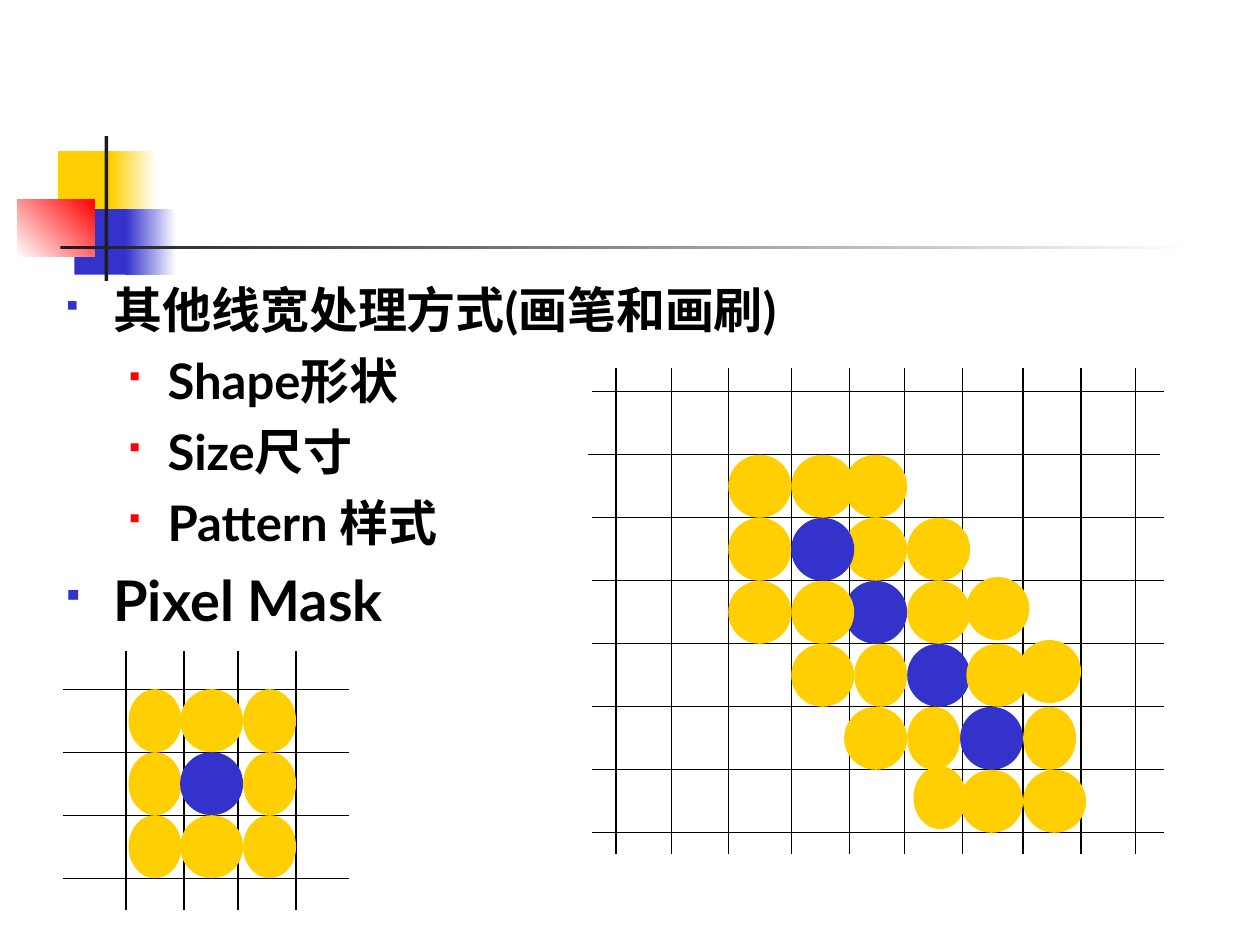
import pptx
import pptx.dml.color
import pptx.enum.lang
import pptx.enum.shapes
import pptx.enum.text
import pptx.oxml
import pptx.oxml.ns
import pptx.util
from pptx.util import Inches

COLORS = {
    "yellow": "FFCF01",
    "blue": "3333CC",
    "red": "FF0000",
    "dark": "1C1C1C",
    "black": "000000",
    "white": "FFFFFF",
}
SHAPES = pptx.enum.shapes.MSO_SHAPE
CELL = 0.5

LEVELS = [
    {"margin": 0.38, "indent": -0.38, "color": "blue", "percent": 60},
    {"margin": 0.81, "indent": -0.31, "color": "red", "percent": 55},
]
# text, level, size, space before
BODY = [
    ("其他线宽处理方式(画笔和画刷)", 0, 28, 0),
    ("Shape形状", 1, 28, 7),
    ("Size尺寸", 1, 28, 7),
    ("Pattern 样式", 1, 28, 7),
    ("Pixel Mask", 0, 32, 8),
]

# left, top, width, height, colours (two make a gradient), angle
MOTIF = [
    (0.32, 0.12, 0.48, 0.52, ["yellow"], 0),
    (0.74, 0.12, 0.36, 0.52, ["yellow", "white"], 0),
    (0.45, 0.58, 0.46, 0.52, ["blue"], 0),
    (0.86, 0.58, 0.4, 0.52, ["blue", "white"], 0),
    (0, 0.5, 0.61, 0.46, ["white", "red"], 45),
    (0.69, 0, 0.03, 1.15, ["dark"], 0),
    (0.34, 0.87, 9, 0.03, ["dark", "white"], 0),
]

MASK_COLUMNS = [0.5, 0.96, 1.39, 1.85]
# left, row, width, colour
MASK_PIXELS = [
    (left, row, width, "blue" if (row, column) == (1, 1) else "yellow")
    for row in range(3)
    for column, (left, width) in enumerate([(0.52, 0.42), (0.93, 0.5), (1.43, 0.42)])
]

STROKE_COLUMNS = [0.19, 0.63, 1.08, 1.58, 2.04, 2.48, 2.94, 3.42, 3.88, 4.31]
# In stacking order, since neighbouring pixels overlap
STROKE_PIXELS = [
    (1.58, 1, 0.5, "yellow"),
    (2, 2, 0.5, "yellow"),
    (2, 3, 0.5, "blue"),
    (2.5, 4, 0.5, "blue"),
    (2.92, 5, 0.5, "blue"),
    (3.42, 6, 0.5, "yellow"),
    (1.58, 3, 0.5, "yellow"),
    (2.97, 4, 0.5, "yellow"),
    (1.58, 4, 0.5, "yellow"),
    (2.08, 4, 0.42, "yellow"),
    (2, 5, 0.5, "yellow"),
    (3.42, 5, 0.42, "yellow"),
    (2.5, 5, 0.42, "yellow"),
    (2.97, 2.94, 0.5, "yellow"),
    (2.92, 6, 0.5, "yellow"),
    (3.38, 3.94, 0.5, "yellow"),
    (1.08, 3, 0.5, "yellow"),
    (2.5, 3, 0.5, "yellow"),
    (1.08, 2, 0.5, "yellow"),
    (1.58, 2, 0.5, "blue"),
    (2.5, 2, 0.5, "yellow"),
    (1.08, 1, 0.5, "yellow"),
    (2, 1, 0.5, "yellow"),
    (2.55, 5.94, 0.42, "yellow"),
]


def rgb(name):
    return pptx.dml.color.RGBColor.from_string(COLORS[name])


def set_values(target, values):
    for name, value in values.items():
        setattr(target, name, value)


def add_filled_shape(shapes, kind, box, colors, angle=0):
    """One colour gives a solid fill, two give a linear gradient."""
    shape = shapes.add_shape(kind, *map(Inches, box))
    shape.shadow.inherit = False
    shape.line.fill.background()
    if len(colors) == 1:
        shape.fill.solid()
        shape.fill.fore_color.rgb = rgb(colors[0])
    else:
        shape.fill.gradient()
        shape.fill.gradient_angle = angle
        for stop, color in zip(shape.fill.gradient_stops, colors):
            stop.color.rgb = rgb(color)


def add_line(shapes, start, end):
    line = shapes.add_connector(
        pptx.enum.shapes.MSO_CONNECTOR.STRAIGHT, *map(Inches, (*start, *end))
    )
    line.line.color.rgb = rgb("black")
    line.line.width = pptx.util.Pt(0.75)
    properties = line._element.spPr
    properties.append(pptx.oxml.parse_xml(
        f"<a:effectLst {pptx.oxml.ns.nsdecls('a')}/>"))


def add_bullet(paragraph, level):
    properties = paragraph._p.get_or_add_pPr()
    properties.set("marL", str(Inches(level["margin"])))
    properties.set("indent", str(Inches(level["indent"])))
    namespace = pptx.oxml.ns.nsdecls("a")
    for xml in (
        f'<a:buClr {namespace}><a:srgbClr val="{COLORS[level["color"]]}"/></a:buClr>',
        f'<a:buSzPct {namespace} val="{level["percent"] * 1000}"/>',
        f'<a:buFont {namespace} typeface="Wingdings"/>',
        f'<a:buChar {namespace} char="§"/>',
    ):
        properties.append(pptx.oxml.parse_xml(xml))


def add_motif(slide, left, top):
    """Corner ornament of coloured blocks with its fading rule."""
    for x, y, width, height, colors, angle in MOTIF:
        box = (left + x, top + y, width, height)
        add_filled_shape(slide.shapes, SHAPES.RECTANGLE, box, colors, angle)


def fill_body(placeholder, left, top, width, height):
    set_values(placeholder, {
        "left": Inches(left), "top": Inches(top),
        "width": Inches(width), "height": Inches(height),
    })
    frame = placeholder.text_frame
    set_values(frame, {
        "word_wrap": True,
        "auto_size": pptx.enum.text.MSO_AUTO_SIZE.NONE,
        "vertical_anchor": pptx.enum.text.MSO_ANCHOR.TOP,
    })
    for index, (text, level, size, space) in enumerate(BODY):
        paragraph = frame.add_paragraph() if index else frame.paragraphs[0]
        add_bullet(paragraph, LEVELS[level])
        set_values(paragraph, {
            "level": level, "line_spacing": 1.0,
            "space_before": pptx.util.Pt(space), "space_after": pptx.util.Pt(0),
        })
        run = paragraph.add_run()
        run.text = text
        set_values(run.font, {
            "name": "Lato", "size": pptx.util.Pt(size), "bold": True,
            "language_id": pptx.enum.lang.MSO_LANGUAGE_ID.SIMPLIFIED_CHINESE,
        })
        run.font.color.rgb = rgb("black")


def add_pixel_grid(slide, box, columns, first_row, row_count, pixels, row_shifts=None):
    """Grid lines at the column offsets and even rows, with round pixels on top."""
    left, top, width, height = box
    shapes = slide.shapes.add_group_shape().shapes
    for column in columns:
        x = left + column
        add_line(shapes, (x, top), (x, top + height))
    for row in range(row_count):
        y = top + first_row + row * CELL
        start = left + (row_shifts or {}).get(row, 0)
        add_line(shapes, (start, y), (start + width, y))
    for x, row, pixel_width, color in pixels:
        pixel_box = (left + x, top + first_row + row * CELL, pixel_width, CELL)
        add_filled_shape(shapes, SHAPES.OVAL, pixel_box, [color])


def main():
    presentation = pptx.Presentation()
    presentation.slide_width = Inches(10)
    presentation.slide_height = Inches(7.5)
    slide = presentation.slides.add_slide(presentation.slide_layouts[1])
    title = slide.shapes.title._element
    title.getparent().remove(title)

    add_motif(slide, 0.14, 1.08)
    fill_body(slide.placeholders[1], 0.42, 2.17, 6.42, 4.5)
    add_pixel_grid(slide, (0.5, 5.17, 2.27, 2.05), MASK_COLUMNS, 0.3, 4, MASK_PIXELS)
    add_pixel_grid(slide, (4.7, 2.92, 4.54, 3.86), STROKE_COLUMNS, 0.19, 8,
                   STROKE_PIXELS, row_shifts={1: -0.03})
    presentation.save("out.pptx")


if __name__ == "__main__":
    main()
